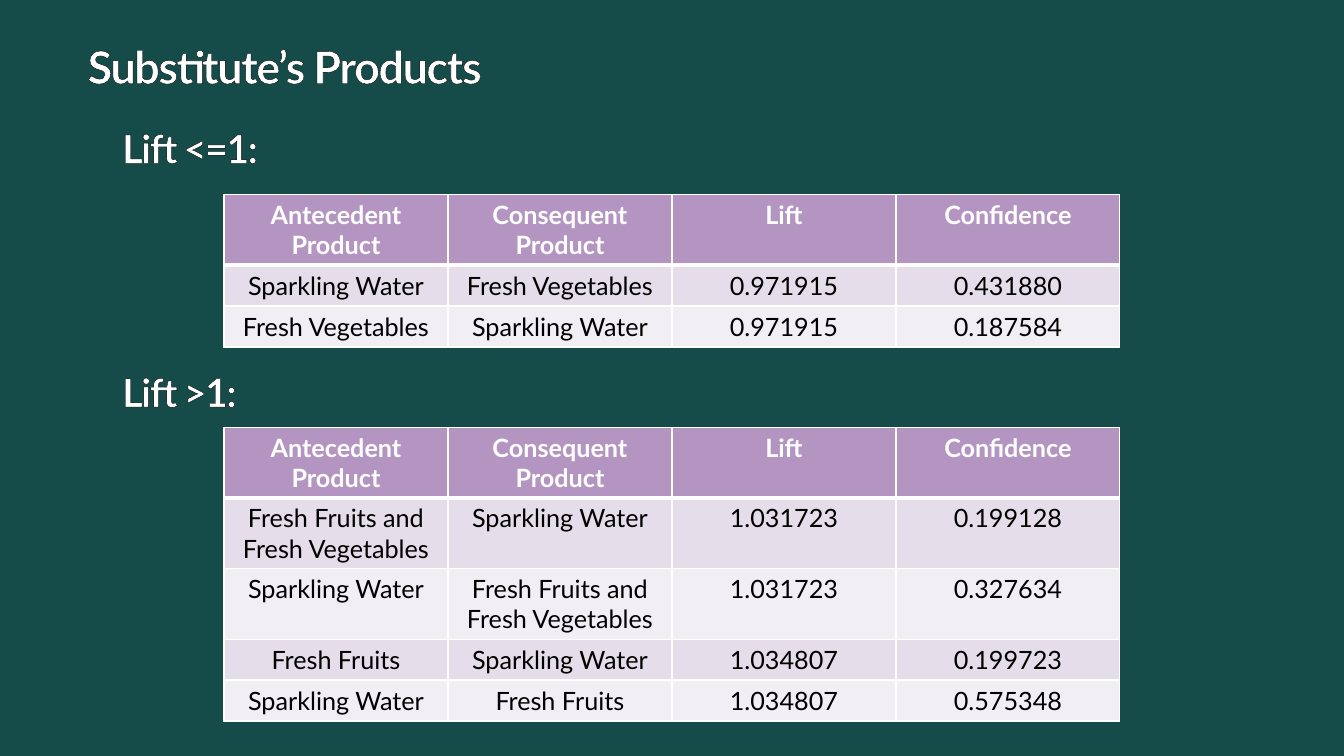
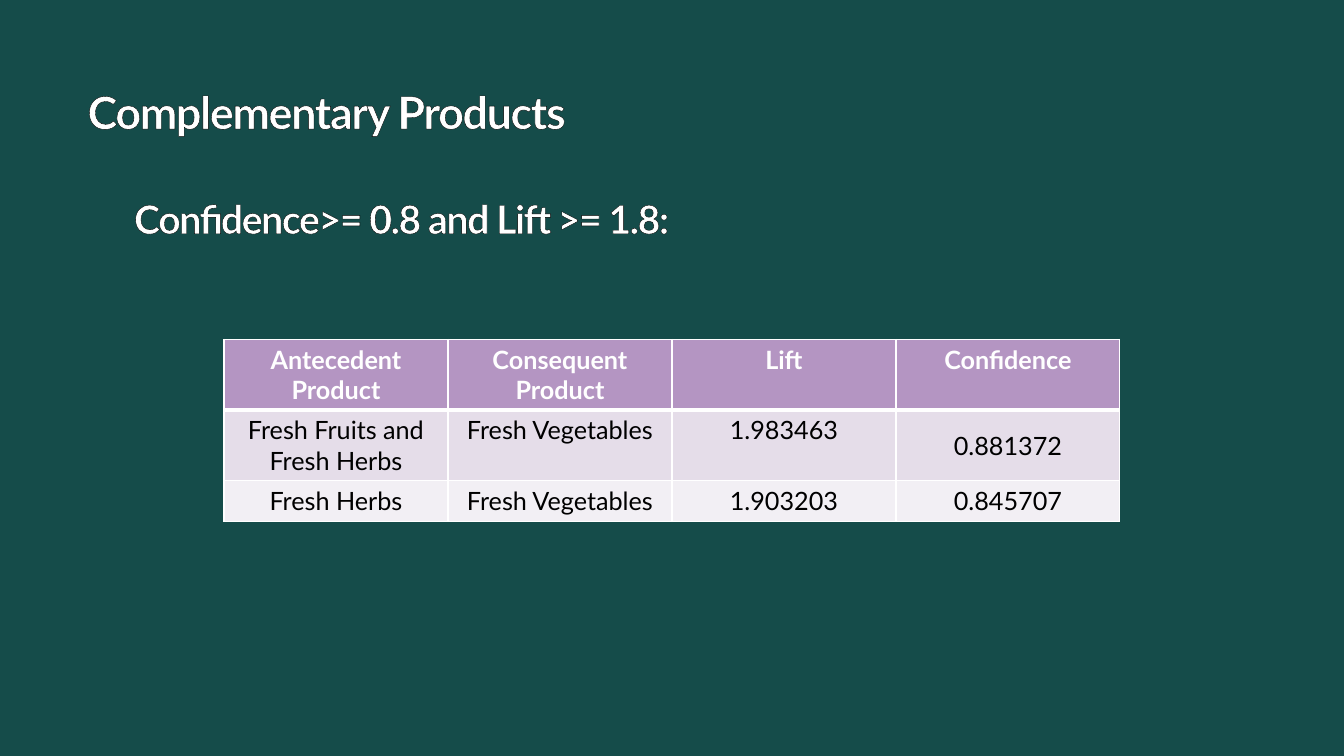
"""Build two slides of product association tables."""
import dataclasses

import lxml.etree
import pptx
import pptx.dml.color
import pptx.enum.text
import pptx.oxml.ns
import pptx.util

Pt = pptx.util.Pt
Anchor = pptx.enum.text.MSO_ANCHOR
Align = pptx.enum.text.PP_ALIGN


@dataclasses.dataclass(frozen=True)
class Theme:
    font: str = "Lato"
    background: str = "154C4A"
    light: str = "FFFFFF"
    dark: str = "000000"
    header: str = "B495C2"
    bands: tuple = ("E5DDE9", "F2EFF4")
    title_size: float = 32
    heading_size: float = 28
    table_size: float = 18
    outline: float = 1.06
    tracking: float = -1


THEME = Theme()
SLIDE_WIDTH, SLIDE_HEIGHT = 960, 540
TITLE_LEFT, HEADING_WIDTH, HEADING_HEIGHT = 62.6, 545, 40
COLUMN_WIDTH, ROW_HEIGHT, TALL_ROW_HEIGHT = 160, 29.2, 50.4
LONGEST_SINGLE_LINE = 17
THIN, THICK = 1, 3
COLUMNS = ("Antecedent Product", "Consequent Product", "Lift", "Confidence")

LOW_LIFT = (
    ("Sparkling Water", "Fresh Vegetables", "0.971915", "0.431880"),
    ("Fresh Vegetables", "Sparkling Water", "0.971915", "0.187584"),
)
HIGH_LIFT = (
    ("Fresh Fruits and Fresh Vegetables", "Sparkling Water", "1.031723", "0.199128"),
    ("Sparkling Water", "Fresh Fruits and Fresh Vegetables", "1.031723", "0.327634"),
    ("Fresh Fruits", "Sparkling Water", "1.034807", "0.199723"),
    ("Sparkling Water", "Fresh Fruits", "1.034807", "0.575348"),
)
COMPLEMENTS = (
    ("Fresh Fruits and Fresh Herbs", "Fresh Vegetables", "1.983463", "0.881372"),
    ("Fresh Herbs", "Fresh Vegetables", "1.903203", "0.845707"),
)


def rgb(color):
    return pptx.dml.color.RGBColor.from_string(color)


def add_line(parent, tag, color, width):
    line = lxml.etree.SubElement(parent, pptx.oxml.ns.qn(tag), w=str(int(Pt(width))))
    fill = lxml.etree.SubElement(line, pptx.oxml.ns.qn("a:solidFill"))
    lxml.etree.SubElement(fill, pptx.oxml.ns.qn("a:srgbClr"), val=color)


def write_text(frame, text, *, size, color, bold=False, align=Align.LEFT, outlined=False):
    paragraph = frame.paragraphs[0]
    paragraph.alignment = align
    run = paragraph.add_run()
    run.text = text
    if outlined:
        properties = run._r.get_or_add_rPr()
        properties.set("spc", str(int(THEME.tracking * 100)))
        add_line(properties, "a:ln", THEME.dark, THEME.outline)
    run.font.name = THEME.font
    run.font.size = Pt(size)
    run.font.bold = bold
    run.font.color.rgb = rgb(color)


def format_heading(shape, text, size):
    frame = shape.text_frame
    frame.word_wrap = True
    frame.auto_size = pptx.enum.text.MSO_AUTO_SIZE.NONE
    frame.vertical_anchor = Anchor.MIDDLE
    frame.margin_left = frame.margin_top = frame.margin_right = frame.margin_bottom = 0
    write_text(frame, text, size=size, color=THEME.light, bold=True, outlined=True)


def add_titled_slide(presentation, text, top):
    slide = presentation.slides.add_slide(presentation.slide_layouts[5])
    title = slide.shapes.title
    title.left, title.top = Pt(TITLE_LEFT), Pt(top)
    title.width, title.height = Pt(HEADING_WIDTH), Pt(HEADING_HEIGHT)
    format_heading(title, text, THEME.title_size)
    return slide


def add_subheading(slide, text, left, top):
    box = slide.shapes.add_textbox(Pt(left), Pt(top), Pt(HEADING_WIDTH), Pt(HEADING_HEIGHT))
    format_heading(box, text, THEME.heading_size)


def format_cell(cell, text, row_index, anchor):
    is_header = row_index == 0
    properties = cell._tc.get_or_add_tcPr()
    widths = {
        "a:lnL": THIN,
        "a:lnR": THIN,
        "a:lnT": THICK if row_index == 1 else THIN,
        "a:lnB": THICK if is_header else THIN,
    }
    for tag, width in widths.items():
        add_line(properties, tag, THEME.light, width)
    cell.fill.solid()
    cell.fill.fore_color.rgb = rgb(THEME.header if is_header else THEME.bands[(row_index - 1) % 2])
    cell.vertical_anchor = anchor
    write_text(
        cell.text_frame,
        text,
        size=THEME.table_size,
        color=THEME.light if is_header else THEME.dark,
        bold=is_header,
        align=Align.CENTER,
    )


def add_product_table(slide, records, top, confidence_anchor=Anchor.TOP):
    rows = (COLUMNS, *records)
    heights = [
        TALL_ROW_HEIGHT if max(map(len, row)) > LONGEST_SINGLE_LINE else ROW_HEIGHT
        for row in rows
    ]
    width = COLUMN_WIDTH * len(COLUMNS)
    table = slide.shapes.add_table(
        len(rows), len(COLUMNS),
        Pt((SLIDE_WIDTH - width) / 2), Pt(top), Pt(width), Pt(sum(heights)),
    ).table
    table.horz_banding = False
    for row_index, (row, height) in enumerate(zip(rows, heights)):
        table.rows[row_index].height = Pt(height)
        for column_index, text in enumerate(row):
            is_confidence = row_index > 0 and column_index == len(COLUMNS) - 1
            anchor = confidence_anchor if is_confidence else Anchor.TOP
            format_cell(table.cell(row_index, column_index), text, row_index, anchor)


def main():
    presentation = pptx.Presentation()
    presentation.slide_width, presentation.slide_height = Pt(SLIDE_WIDTH), Pt(SLIDE_HEIGHT)
    background = presentation.slide_master.background.fill
    background.solid()
    background.fore_color.rgb = rgb(THEME.background)

    substitutes = add_titled_slide(presentation, "Substitute’s Products", 27)
    add_product_table(substitutes, LOW_LIFT, 139)
    add_product_table(substitutes, HIGH_LIFT, 305.3)
    add_subheading(substitutes, "Lift <=1:", 87.4, 85.4)
    add_subheading(substitutes, "Lift >1:", 87.4, 259.6)

    complements = add_titled_slide(presentation, "Complementary Products", 59.4)
    add_product_table(complements, COMPLEMENTS, 242.4, confidence_anchor=Anchor.MIDDLE)
    add_subheading(complements, "Confidence>= 0.8 and Lift >= 1.8:", 95.8, 135.8)

    presentation.save("out.pptx")


if __name__ == "__main__":
    main()
